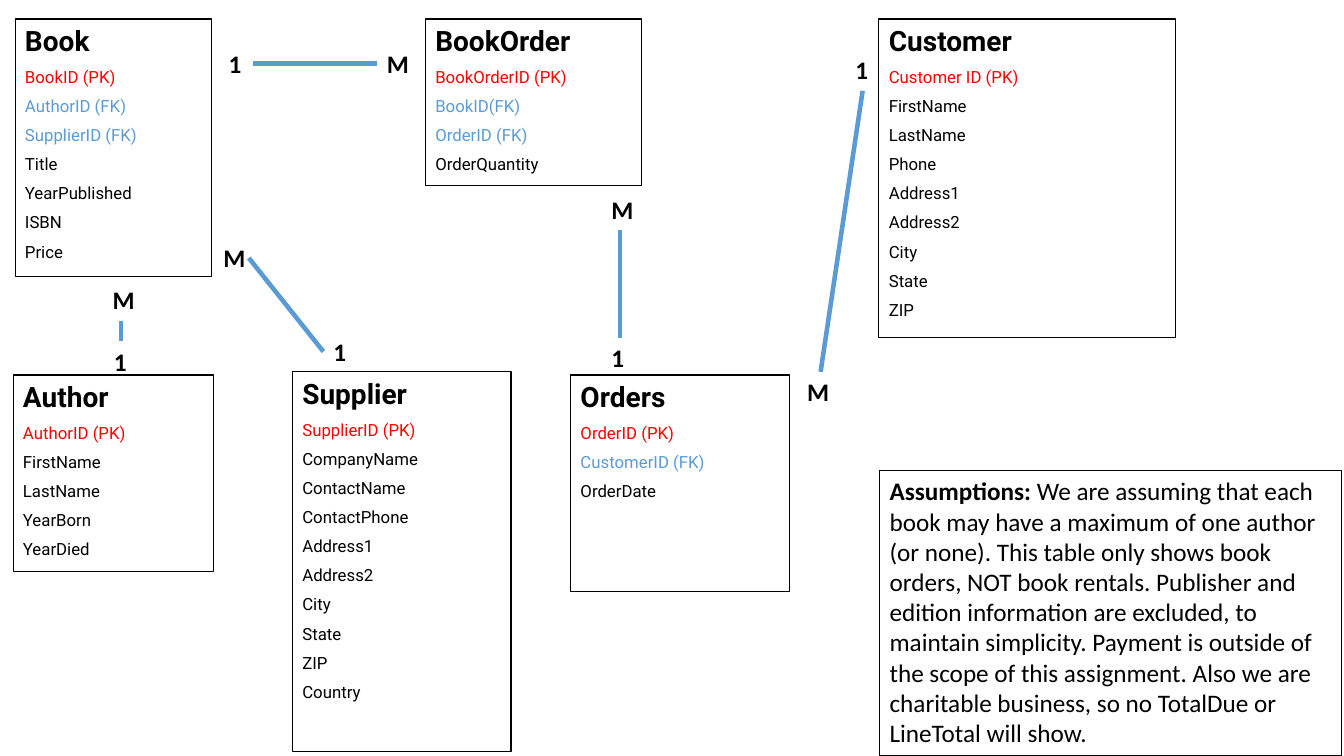
from lxml.etree import SubElement
from pptx import Presentation
from pptx.dml.color import RGBColor
from pptx.enum.shapes import MSO_CONNECTOR, MSO_SHAPE
from pptx.enum.text import MSO_ANCHOR, PP_ALIGN
from pptx.oxml.ns import qn
from pptx.util import Cm, Pt

BLACK = RGBColor(0x00, 0x00, 0x00)
RED = RGBColor(0xFF, 0x00, 0x00)
BLUE = RGBColor(0x5B, 0x9B, 0xD5)

# Entity name, (left, top, width, height) in cm, fields
ENTITIES = [
    ("Book", (0.38, 0.48, 4.95, 6.5),
     ["BookID (PK)", "AuthorID (FK)", "SupplierID (FK)", "Title",
      "YearPublished", "ISBN", "Price"]),
    ("Customer", (22.15, 0.48, 7.47, 8.03),
     ["Customer ID (PK)", "FirstName", "LastName", "Phone", "Address1",
      "Address2", "City", "State", "ZIP"]),
    ("BookOrder", (10.72, 0.48, 5.44, 4.19),
     ["BookOrderID (PK)", "BookID(FK)", "OrderID (FK)", "OrderQuantity"]),
    ("Supplier", (7.37, 9.37, 5.51, 9.58),
     ["SupplierID (PK)", "CompanyName", "ContactName", "ContactPhone",
      "Address1", "Address2", "City", "State", "ZIP", "Country"]),
    ("Orders", (14.38, 9.45, 5.51, 5.46),
     ["OrderID (PK)", "CustomerID (FK)", "OrderDate"]),
    ("Author", (0.33, 9.45, 5.05, 4.95),
     ["AuthorID (PK)", "FirstName", "LastName", "YearBorn", "YearDied"]),
]

# Line start, line end, place of the "1", place of the "M", all in cm
RELATIONS = [
    ((8.15, 8.86), (6.27, 6.5), (8.15, 8.36), (5.38, 5.99)),
    ((21.74, 2.29), (20.68, 9.37), (21.31, 1.24), (20.09, 9.37)),
    ((6.38, 1.6), (9.5, 1.6), (5.51, 1.09), (9.5, 1.09)),
    ((15.62, 8.51), (15.62, 5.79), (15.16, 8.51), (15.16, 4.78)),
    ((3.05, 8.59), (3.05, 8.08), (2.62, 8.59), (2.59, 7.04)),
]

ASSUMPTIONS_PLACE = (22.17, 11.86, 11.63, 7.19)
ASSUMPTIONS = (
    " We are assuming that each book may have a maximum of one author "
    "(or none). This table only shows book orders, NOT book rentals. "
    "Publisher and edition information are excluded, to maintain simplicity. "
    "Payment is outside of the scope of this assignment. Also we are "
    "charitable business, so no TotalDue or LineTotal will show."
)


def set_font(paragraph, name, size, color=BLACK, bold=None):
    """Left-align a paragraph and format its font."""
    paragraph.alignment = PP_ALIGN.LEFT
    font = paragraph.font
    font.name, font.size, font.bold = name, Pt(size), bold
    font.color.rgb = color


def add_frame(slide, place):
    """Add an outlined, unfilled box and return its text frame."""
    box = slide.shapes.add_shape(MSO_SHAPE.RECTANGLE, *map(Cm, place))
    box.shadow.inherit = False
    box.fill.background()
    box.line.color.rgb = BLACK
    box.line.width = Pt(0.75)
    frame = box.text_frame
    frame.word_wrap = True
    frame.vertical_anchor = MSO_ANCHOR.TOP
    return frame


def field_color(field):
    """Return the colour that marks a primary or foreign key."""
    if field.endswith("(PK)"):
        return RED
    return BLUE if field.endswith("(FK)") else BLACK


def add_entity(slide, name, place, fields):
    """Add an entity box with its name and fields."""
    frame = add_frame(slide, place)
    heading = frame.paragraphs[0]
    heading.text = name
    set_font(heading, "Roboto", 20, bold=True)
    for field in fields:
        row = frame.add_paragraph()
        row.text = field
        row.space_before = Pt(6.4)
        set_font(row, "Roboto", 12, field_color(field))


def add_cardinality(slide, mark, place):
    """Add the bold mark at one end of a relation."""
    label = slide.shapes.add_textbox(*map(Cm, place), Cm(0.9), Cm(1.02))
    label.text_frame.word_wrap = True
    paragraph = label.text_frame.paragraphs[0]
    paragraph.text = mark
    set_font(paragraph, "Calibri", 18, bold=True)


def add_relation(slide, start, end, one_place, many_place):
    """Add a one-to-many line with its two marks."""
    link = slide.shapes.add_connector(
        MSO_CONNECTOR.STRAIGHT, *map(Cm, start + end))
    link.line.color.rgb = BLUE
    link.line.width = Pt(3.25)
    SubElement(link.element.spPr, qn("a:effectLst"))
    add_cardinality(slide, "1", one_place)
    add_cardinality(slide, "M", many_place)


def add_assumptions(slide):
    """Add the box of assumptions with its bold lead-in."""
    paragraph = add_frame(slide, ASSUMPTIONS_PLACE).paragraphs[0]
    set_font(paragraph, "Calibri", 18)
    lead = paragraph.add_run()
    lead.text = "Assumptions:"
    lead.font.bold = True
    paragraph.add_run().text = ASSUMPTIONS


def main():
    """Build the entity-relationship slide."""
    deck = Presentation()
    deck.slide_width, deck.slide_height = Cm(33.87), Cm(19.05)
    slide = deck.slides.add_slide(deck.slide_layouts[6])
    for entity in ENTITIES:
        add_entity(slide, *entity)
    add_assumptions(slide)
    for relation in RELATIONS:
        add_relation(slide, *relation)
    deck.save("out.pptx")


main()
